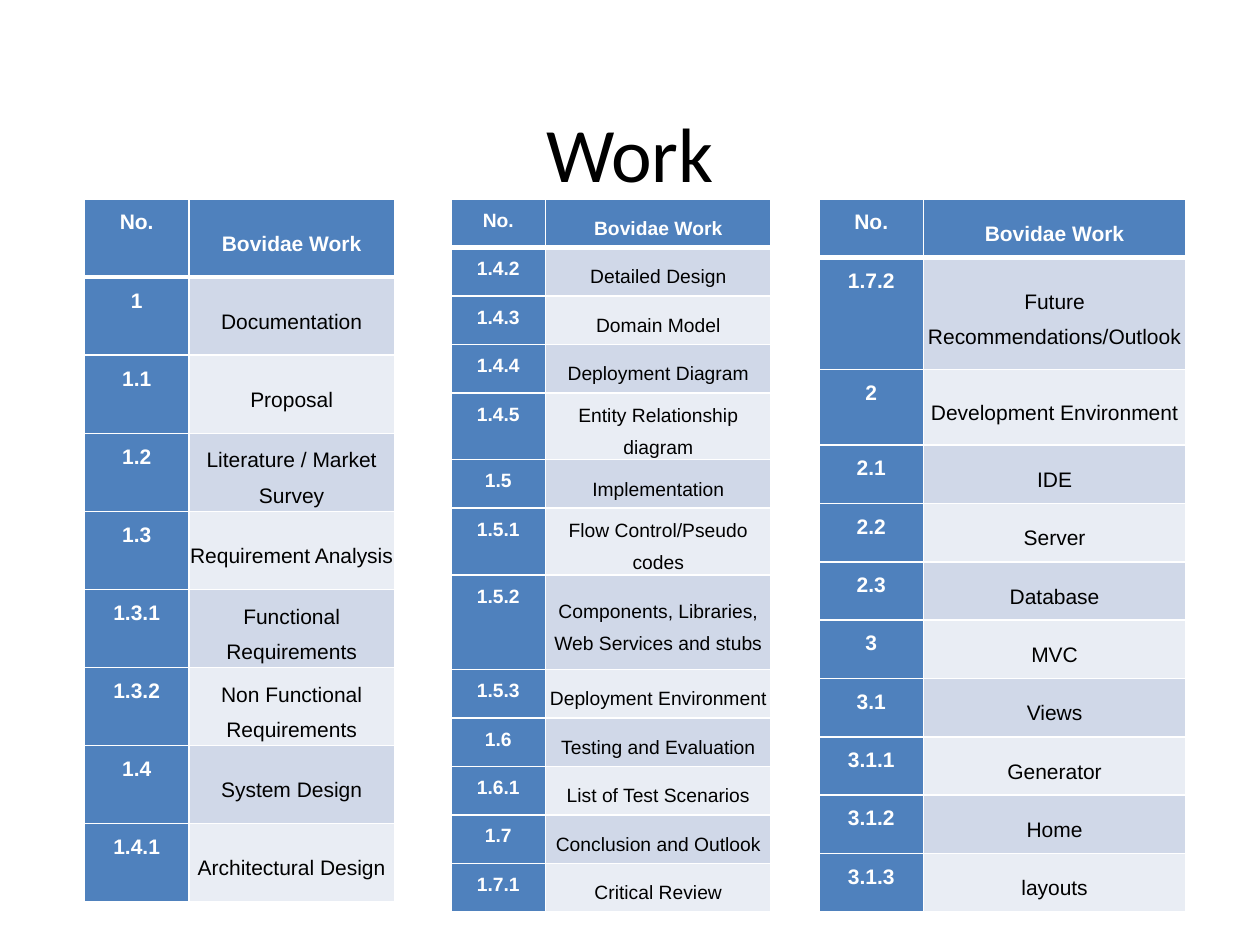
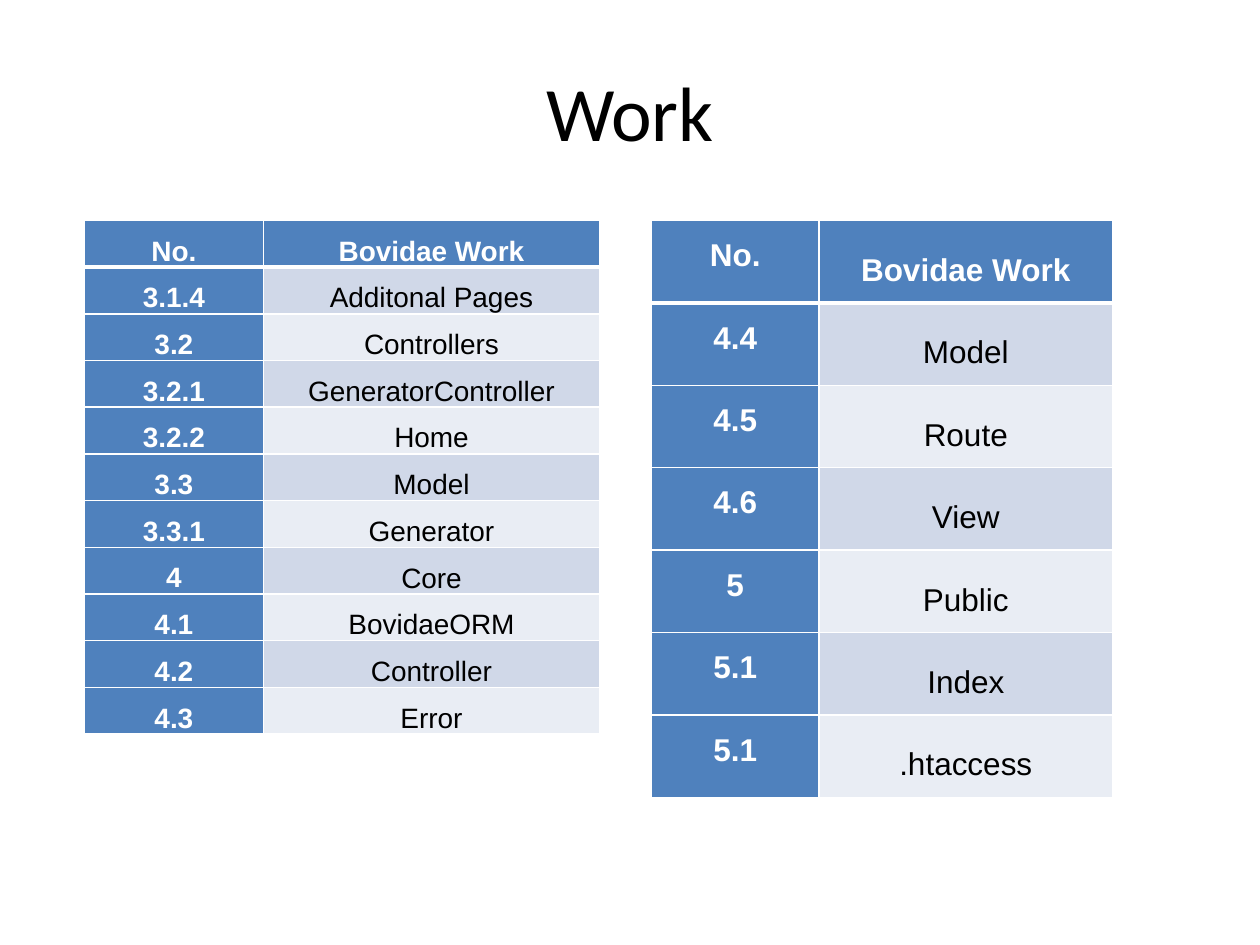
from dataclasses import dataclass

from lxml import etree
from pptx import Presentation
from pptx.dml.color import RGBColor
from pptx.enum.text import MSO_ANCHOR, PP_ALIGN
from pptx.oxml.ns import qn
from pptx.util import Inches, Pt

CENTER = PP_ALIGN.CENTER
TOP, MIDDLE = MSO_ANCHOR.TOP, MSO_ANCHOR.MIDDLE
TITLE_ONLY = 5


@dataclass(frozen=True)
class Theme:
    blue: str = "4F81BD"
    dark_band: str = "D0D8E8"
    light_band: str = "E9EDF4"
    white: str = "FFFFFF"
    black: str = "000000"
    title_font: str = "Calibri"
    table_font: str = "Arial"
    title_size: int = 44
    small: int = 11
    regular: int = 12
    large: int = 16
    extra_large: int = 18
    line_spacing: float = 1.5
    thin: int = 1
    thick: int = 3


theme = Theme()
HEADER = ("No.", "Bovidae Work")


def style_run(run, font_name, size, color, bold=False):
    run.font.name = font_name
    run.font.size = Pt(size)
    run.font.bold = bold
    run.font.color.rgb = RGBColor.from_string(color)


def add_border(cell, side, width):
    line = etree.SubElement(cell._tc.get_or_add_tcPr(), qn(f"a:ln{side}"), w=str(Pt(width)))
    fill = etree.SubElement(line, qn("a:solidFill"))
    etree.SubElement(fill, qn("a:srgbClr"), val=theme.white)


slides = [
    {
        "title_top": 0.58,
        "table_top": 1.58,
        "tables": [
            {
                "left": 0.67, "height": 5.58, "columns": (0.83, 1.63),
                "size": theme.regular, "tall_rows": {},
                "work": [
                    ("1", "Documentation"),
                    ("1.1", "Proposal"),
                    ("1.2", "Literature / Market Survey"),
                    ("1.3", "Requirement Analysis"),
                    ("1.3.1", "Functional Requirements"),
                    ("1.3.2", "Non Functional Requirements"),
                    ("1.4", "System Design"),
                    ("1.4.1", "Architectural Design"),
                ],
            },
            {
                "left": 3.58, "height": 5.66, "columns": (0.75, 1.79),
                "size": theme.small, "tall_rows": {4: 0.53, 6: 0.53, 7: 0.75},
                "work": [
                    ("1.4.2", "Detailed Design"),
                    ("1.4.3", "Domain Model"),
                    ("1.4.4", "Deployment Diagram"),
                    ("1.4.5", "Entity Relationship diagram"),
                    ("1.5", "Implementation"),
                    ("1.5.1", "Flow Control/Pseudo codes"),
                    ("1.5.2", "Components, Libraries, Web Services and stubs"),
                    ("1.5.3", "Deployment Environment"),
                    ("1.6", "Testing and Evaluation"),
                    ("1.6.1", "List of Test Scenarios"),
                    ("1.7", "Conclusion and Outlook"),
                    ("1.7.1", "Critical Review"),
                ],
            },
            {
                "left": 6.5, "height": 5.66, "columns": (0.83, 2.08),
                "size": theme.regular, "tall_rows": {1: 0.89, 2: 0.6},
                "work": [
                    ("1.7.2", "Future Recommendations/Outlook"),
                    ("2", "Development Environment"),
                    ("2.1", "IDE"),
                    ("2.2", "Server"),
                    ("2.3", "Database"),
                    ("3", "MVC"),
                    ("3.1", "Views"),
                    ("3.1.1", "Generator"),
                    ("3.1.2", "Home"),
                    ("3.1.3", "layouts"),
                ],
            },
        ],
    },
    {
        "title_top": 0.25,
        "table_top": 1.75,
        "tables": [
            {
                "left": 0.67, "height": 3.96, "columns": (1.42, 2.67),
                "size": theme.large, "tall_rows": {},
                "work": [
                    ("3.1.4", "Additonal Pages"),
                    ("3.2", "Controllers"),
                    ("3.2.1", "GeneratorController"),
                    ("3.2.2", "Home"),
                    ("3.3", "Model"),
                    ("3.3.1", "Generator"),
                    ("4", "Core"),
                    ("4.1", "BovidaeORM"),
                    ("4.2", "Controller"),
                    ("4.3", "Error"),
                ],
            },
            {
                "left": 5.17, "height": 4.58, "columns": (1.33, 2.33),
                "size": theme.extra_large, "tall_rows": {},
                "work": [
                    ("4.4", "Model"),
                    ("4.5", "Route"),
                    ("4.6", "View"),
                    ("5", "Public"),
                    ("5.1", "Index"),
                    ("5.1", ".htaccess"),
                ],
            },
        ],
    },
]

presentation = Presentation()
presentation.slide_width = Inches(10)
presentation.slide_height = Inches(7.5)

for content in slides:
    slide = presentation.slides.add_slide(presentation.slide_layouts[TITLE_ONLY])
    title = slide.shapes.title
    title.left, title.top = Inches(0.5), Inches(content["title_top"])
    title.width, title.height = Inches(9), Inches(1.25)
    title.text_frame.text = "Work"
    title.text_frame.vertical_anchor = MIDDLE
    title_paragraph = title.text_frame.paragraphs[0]
    title_paragraph.alignment = CENTER
    style_run(title_paragraph.runs[0], theme.title_font, theme.title_size, theme.black)

    for block in content["tables"]:
        rows = [HEADER] + block["work"]
        tall_rows = block["tall_rows"]
        row_height = (block["height"] - sum(tall_rows.values())) / (len(rows) - len(tall_rows))
        table = slide.shapes.add_table(
            len(rows), len(HEADER), Inches(block["left"]), Inches(content["table_top"]),
            Inches(sum(block["columns"])), Inches(block["height"]),
        ).table
        for column, width in zip(table.columns, block["columns"]):
            column.width = Inches(width)

        for row_index, row in enumerate(rows):
            table.rows[row_index].height = Inches(tall_rows.get(row_index, row_height))
            for column_index, text in enumerate(row):
                cell = table.cell(row_index, column_index)
                is_heading = row_index == 0 or column_index == 0
                band = theme.dark_band if row_index % 2 else theme.light_band
                for side in "LRTB":
                    under_header = (row_index, side) in ((0, "B"), (1, "T"))
                    add_border(cell, side, theme.thick if under_header else theme.thin)
                cell.fill.solid()
                cell.fill.fore_color.rgb = RGBColor.from_string(theme.blue if is_heading else band)
                cell.margin_left = cell.margin_right = 0
                cell.margin_top = cell.margin_bottom = 0
                cell.vertical_anchor = MIDDLE if column_index else TOP
                paragraph = cell.text_frame.paragraphs[0]
                paragraph.text = text
                paragraph.alignment = CENTER
                paragraph.line_spacing = theme.line_spacing
                text_color = theme.white if is_heading else theme.black
                style_run(paragraph.runs[0], theme.table_font, block["size"], text_color, is_heading)

presentation.save("out.pptx")
